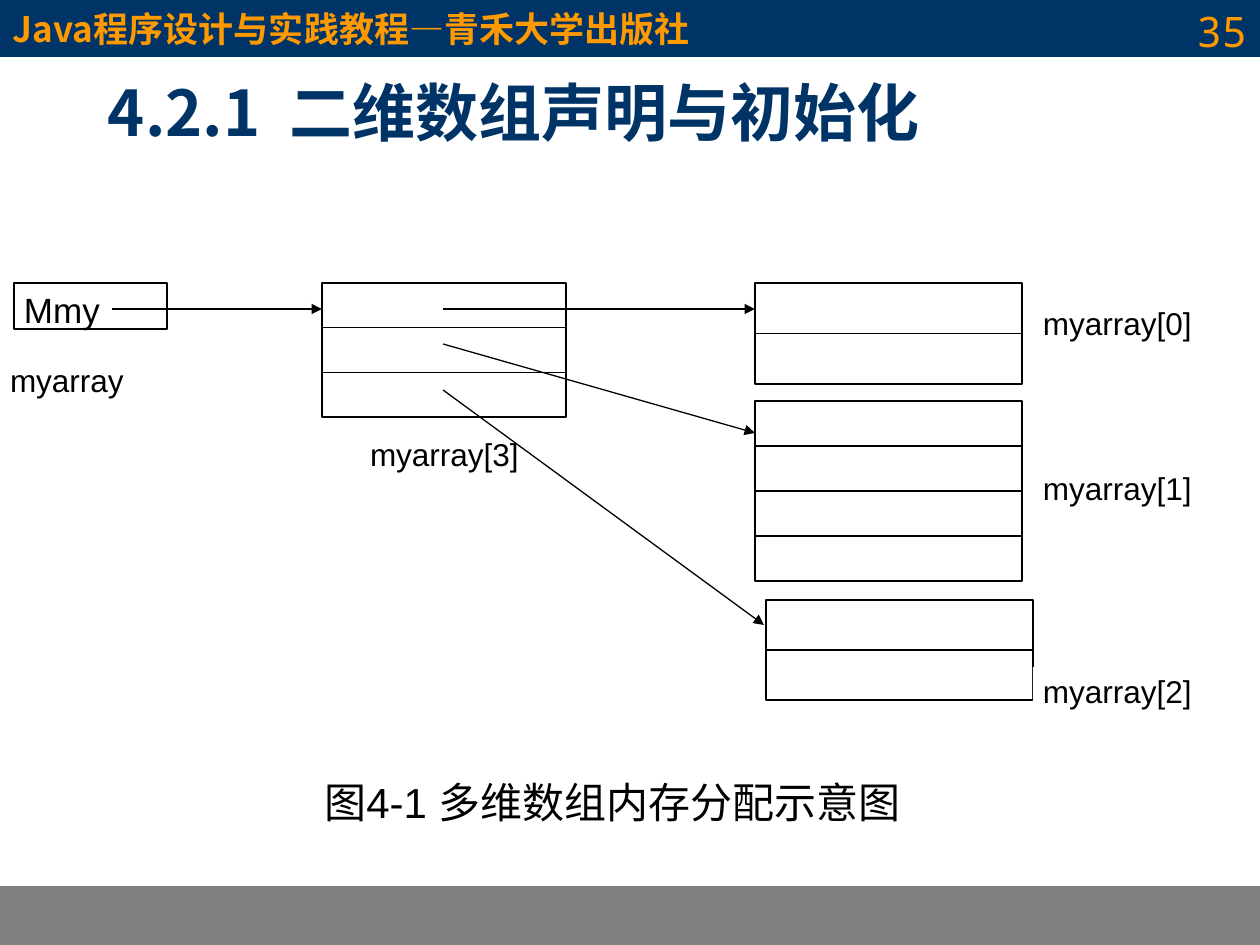
from dataclasses import dataclass

from lxml import etree
from pptx import Presentation
from pptx.dml.color import RGBColor
from pptx.enum.shapes import MSO_CONNECTOR, MSO_SHAPE
from pptx.enum.text import MSO_ANCHOR, PP_ALIGN
from pptx.oxml.ns import qn
from pptx.util import Emu, Pt

EMU_PER_PX = 914400 / 126
STRAIGHT = MSO_CONNECTOR.STRAIGHT
RECTANGLE = MSO_SHAPE.RECTANGLE
CALLOUT = MSO_SHAPE.RECTANGULAR_CALLOUT
TOP, MIDDLE, BOTTOM = MSO_ANCHOR.TOP, MSO_ANCHOR.MIDDLE, MSO_ANCHOR.BOTTOM
LEFT, CENTER, RIGHT = PP_ALIGN.LEFT, PP_ALIGN.CENTER, PP_ALIGN.RIGHT
WIDE_INSETS = (13, 6)
NARROW_INSETS = (10, 5)


@dataclass(frozen=True)
class Theme:
    navy: str = "003366"
    orange: str = "FF9900"
    gray: str = "808080"
    black: str = "000000"
    white: str = "FFFFFF"
    body_font: str = "Arial"
    heading_font: str = "Noto Sans CJK SC"
    number_font: str = "Noto Sans Mono"
    title_size: int = 36
    caption_size: int = 24
    header_size: int = 20
    label_size: int = 18
    line_width: float = 0.75


THEME = Theme()


def px(length):
    return Emu(round(length * EMU_PER_PX))


def add_box(page, bounds, fill=None, line=None, kind=RECTANGLE):
    box = page.shapes.add_shape(kind, *map(px, bounds))
    box.shadow.inherit = False
    if fill:
        box.fill.solid()
        box.fill.fore_color.rgb = RGBColor.from_string(fill)
    else:
        box.fill.background()
    if line:
        box.line.color.rgb = RGBColor.from_string(line)
        box.line.width = Pt(THEME.line_width)
    else:
        box.line.fill.background()
    return box


def write(box, text, size, color=THEME.black, font=THEME.body_font, bold=False,
          align=LEFT, anchor=TOP, insets=WIDE_INSETS):
    frame = box.text_frame
    frame.text = text
    frame.word_wrap = True
    frame.vertical_anchor = anchor
    frame.margin_left = frame.margin_right = px(insets[0])
    frame.margin_top = frame.margin_bottom = px(insets[1])
    para = frame.paragraphs[0]
    para.alignment = align
    span = para.runs[0]
    span.font.size = Pt(size)
    span.font.bold = bold
    span.font.name = font
    span.font.color.rgb = RGBColor.from_string(color)
    east_asian = etree.Element(qn("a:ea"), typeface=THEME.heading_font)
    span.font._element.find(qn("a:latin")).addnext(east_asian)
    return para


def add_text(page, bounds, text, size, **style):
    box = page.shapes.add_textbox(*map(px, bounds))
    return write(box, text, size, **style)


def add_line(page, start, end, arrow=False):
    connector = page.shapes.add_connector(STRAIGHT, *map(px, start + end))
    connector.line.color.rgb = RGBColor.from_string(THEME.black)
    connector.line.width = Pt(THEME.line_width)
    properties = connector._element.spPr
    if arrow:
        outline = properties.find(qn("a:ln"))
        etree.SubElement(outline, qn("a:tailEnd"), type="triangle")
    etree.SubElement(properties, qn("a:effectLst"))


def add_memory_block(page, bounds, rows):
    left, top, width, height = bounds
    add_box(page, bounds, THEME.white, THEME.black)
    for row in range(1, rows):
        y = top + height * row / rows
        add_line(page, (left, y), (left + width, y))


def add_label(page, bounds, text, pointer, fill=THEME.white):
    label = add_box(page, bounds, fill, kind=CALLOUT)
    label.adjustments[0], label.adjustments[1] = pointer
    write(label, text, THEME.label_size, insets=NARROW_INSETS)


def add_frame(page):
    add_box(page, (0, 886, 1260, 59), THEME.gray)
    header = add_box(page, (0, 0, 1260, 56), THEME.navy, THEME.navy)
    write(header, "Java程序设计与实践教程—青禾大学出版社", THEME.header_size,
          color=THEME.orange, font=THEME.heading_font, bold=True, anchor=MIDDLE)
    add_text(page, (966, 0, 294, 66), "35", THEME.caption_size,
             color=THEME.orange, font=THEME.number_font, align=RIGHT)


def add_title(page):
    para = add_text(page, (95, 66, 1062, 89), "4.2.1  二维数组声明与初始化",
                    THEME.title_size, color=THEME.navy, font=THEME.heading_font,
                    bold=True, anchor=BOTTOM)
    para.line_spacing = 1.3
    para.space_before = Pt(11.2)
    para.space_after = Pt(13.5)


def add_diagram(page):
    variable = add_box(page, (14, 283, 153, 46), THEME.white, THEME.black)
    write(variable, "Mmy", THEME.header_size, insets=NARROW_INSETS)

    for bounds, rows in [
        ((322, 283, 244, 134), 3),
        ((755, 283, 267, 101), 2),
        ((755, 401, 267, 180), 4),
        ((766, 600, 267, 100), 2),
    ]:
        add_memory_block(page, bounds, rows)

    for start, end in [
        ((112, 309), (322, 309)),
        ((443, 309), (755, 309)),
        ((443, 344), (755, 433)),
        ((443, 390), (764, 625)),
    ]:
        add_line(page, start, end, arrow=True)

    add_label(page, (0, 356, 185, 61), "myarray", (-0.45, 1.27))
    add_label(page, (360, 430, 207, 60), "myarray[3]", (-0.26, 1.02), fill=None)
    for index, top in enumerate((299, 464, 667)):
        add_label(page, (1033, top, 227, 74), f"myarray[{index}]", (-0.47, 0.25))


def main():
    deck = Presentation()
    deck.slide_width, deck.slide_height = px(1260), px(945)
    page = deck.slides.add_slide(deck.slide_layouts[6])
    add_frame(page)
    add_title(page)
    add_diagram(page)
    add_text(page, (302, 770, 621, 63), "图4-1 多维数组内存分配示意图",
             THEME.caption_size, align=CENTER, anchor=MIDDLE)
    deck.save("out.pptx")


if __name__ == "__main__":
    main()
